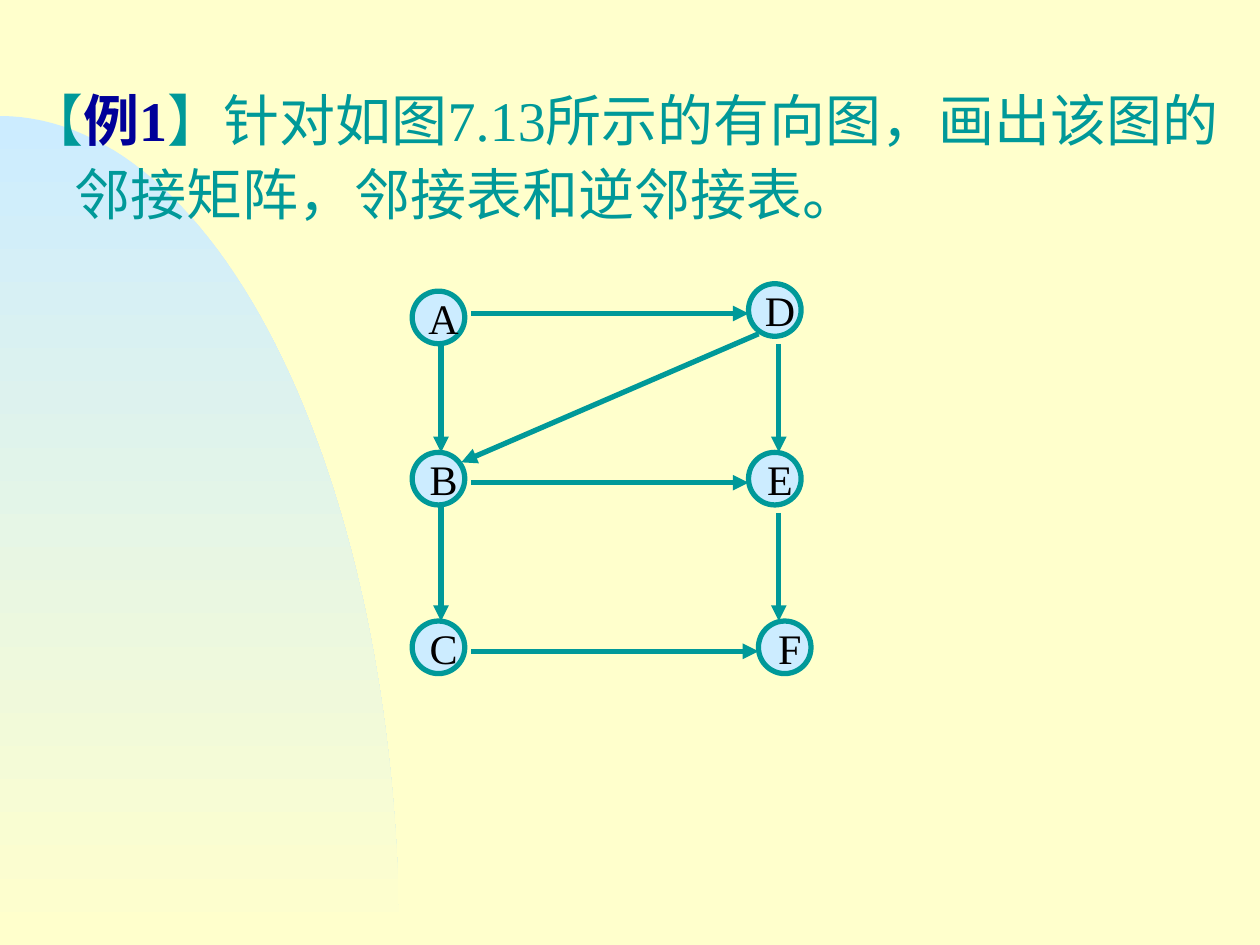
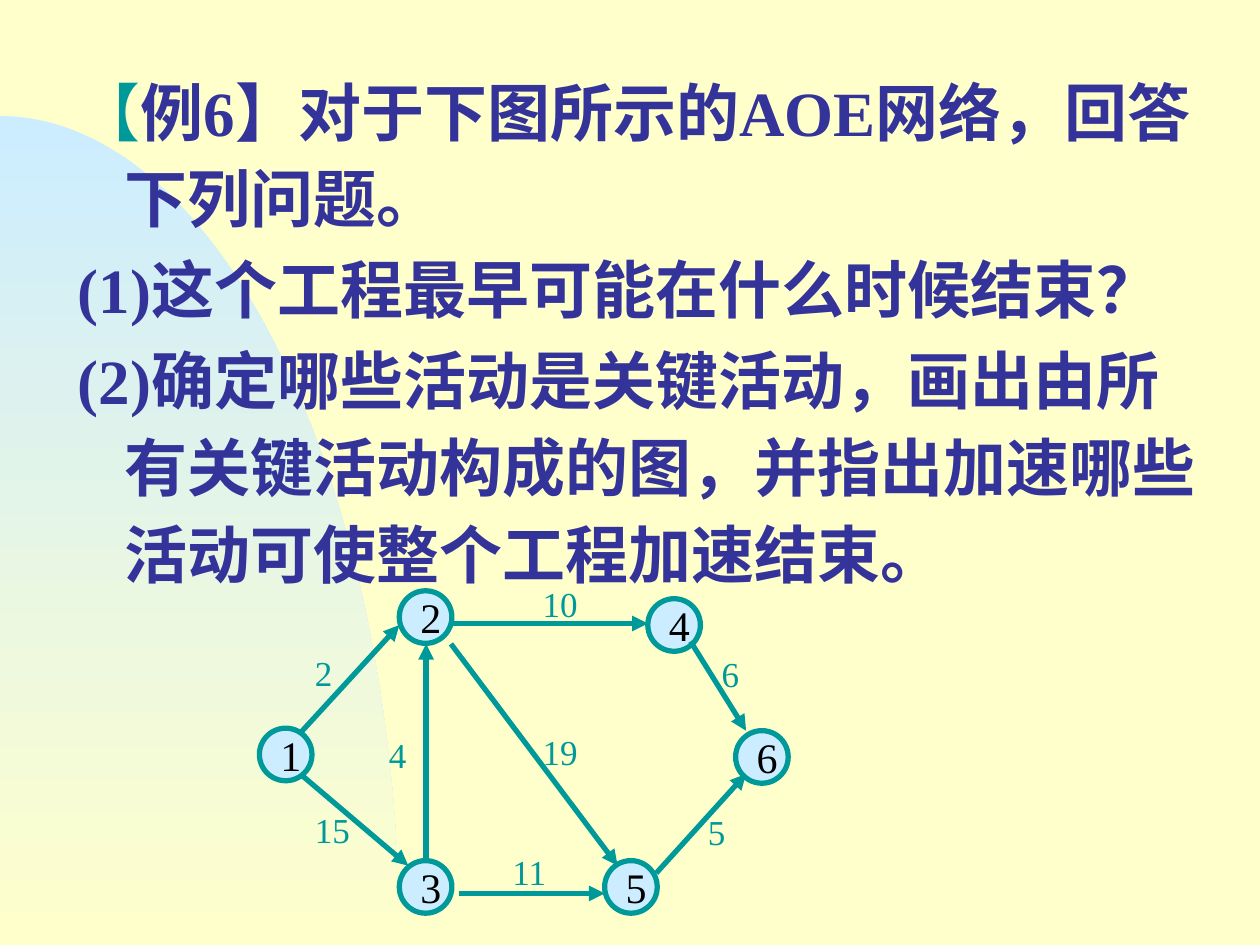
from math import cos, pi, sin

from lxml.etree import SubElement
from pptx import Presentation
from pptx.dml.color import RGBColor
from pptx.enum.lang import MSO_LANGUAGE_ID as Language
from pptx.enum.shapes import MSO_CONNECTOR as Connector, MSO_SHAPE as Preset
from pptx.enum.text import MSO_ANCHOR as Anchor, PP_ALIGN as Align
from pptx.oxml.ns import qn
from pptx.util import Cm, Pt

CREAM, SKY, TEAL = "FFFFCC", "CCECFF", "009999"
NAVY, INDIGO, INK = "000099", "333399", "010000"
SERIF, SANS = "Times New Roman", "Arial"
WIDTH, HEIGHT = 25.4, 19.05
NODE_SIZE = 1.06


def color(value):
    """Return the colour for a hex string."""
    return RGBColor.from_string(value)


class GraphDeck:
    """Hold the shared style and the current slide."""

    def __init__(self):
        """Start the deck with its size and background."""
        self.deck = Presentation()
        self.deck.slide_width, self.deck.slide_height = Cm(WIDTH), Cm(HEIGHT)
        fill = self.deck.slide_master.background.fill
        fill.solid()
        fill.fore_color.rgb = color(CREAM)
        self.page = None

    def add_page(self):
        """Add a blank slide with the shaded quarter ellipse."""
        self.page = self.deck.slides.add_slide(self.deck.slide_layouts[6])
        radius_x, radius_y, steps = 8.05, 16.71, 60
        angles = [pi / 2 * step / steps for step in range(steps + 1)]
        outline = [(Cm(radius_x * sin(angle)), Cm(HEIGHT - radius_y * cos(angle)))
                   for angle in angles]
        builder = self.page.shapes.build_freeform(*outline[0], scale=1.0)
        builder.add_line_segments(outline[1:] + [(0, Cm(HEIGHT))], close=True)
        curve = builder.convert_to_shape()
        curve.shadow.inherit = False
        curve.line.fill.background()
        curve.fill.gradient()
        curve.fill.gradient_angle = 270
        for stop, shade in zip(curve.fill.gradient_stops, (SKY, CREAM)):
            stop.color.rgb = color(shade)

    def style(self, span, size, shade, bold=False, font=SERIF):
        """Format one run."""
        span.font.name, span.font.size, span.font.bold = font, Pt(size), bold
        span.font.color.rgb = color(shade)
        span.font.language_id = Language.SIMPLIFIED_CHINESE

    def text_box(self, left, top, width, height):
        """Add a wrapping text box and return its frame."""
        box = self.page.shapes.add_textbox(Cm(left), Cm(top), Cm(width), Cm(height))
        box.text_frame.word_wrap = True
        return box.text_frame

    def question(self, place, size, spacing, before, paragraphs):
        """Add the question text with hanging indents."""
        frame = self.text_box(*place)
        for number, spans in enumerate(paragraphs):
            para = frame.add_paragraph() if number else frame.paragraphs[0]
            para.line_spacing, para.space_before = spacing, Pt(before)
            properties = para._p.get_or_add_pPr()
            properties.set("marL", str(Cm(0.95)))
            properties.set("indent", str(-Cm(0.95)))
            for text, *look in spans:
                span = para.add_run()
                span.text = text
                self.style(span, size, *look)

    def node(self, name, left, top):
        """Add a labelled graph node."""
        circle = self.page.shapes.add_shape(
            Preset.OVAL, Cm(left), Cm(top), Cm(NODE_SIZE), Cm(NODE_SIZE))
        circle.shadow.inherit = False
        circle.fill.solid()
        circle.fill.fore_color.rgb = color(SKY)
        circle.line.color.rgb = color(TEAL)
        circle.line.width = Pt(3)
        frame = circle.text_frame
        frame.text = name
        frame.word_wrap, frame.vertical_anchor = False, Anchor.MIDDLE
        frame.margin_top = frame.margin_right = frame.margin_bottom = 0
        frame.margin_left = Cm(0.21)
        para = frame.paragraphs[0]
        para.alignment = Align.CENTER
        self.style(para.runs[0], 24, INK)

    def arrow(self, *ends):
        """Add an arrow given as start x, y and end x, y."""
        line = self.page.shapes.add_connector(Connector.STRAIGHT, *map(Cm, ends))
        line.line.color.rgb = color(TEAL)
        line.line.width = Pt(3)
        SubElement(line.line._get_or_add_ln(), qn("a:tailEnd"), type="triangle")
        SubElement(line._element.spPr, qn("a:effectLst"))

    def weight(self, text, left, top):
        """Add the weight beside an edge."""
        frame = self.text_box(left, top, 1.3, 1.12)
        frame.text = text
        self.style(frame.paragraphs[0].runs[0], 20, TEAL)

    def graph(self, nodes, arrows, weights=()):
        """Draw the nodes, the arrows and the weights of a graph."""
        for draw, items in ((self.node, nodes), (self.arrow, arrows), (self.weight, weights)):
            for item in items:
                draw(*item)


def add_directed_graph(deck):
    """Build the slide on adjacency matrices and lists."""
    deck.add_page()
    deck.question((0.3, 1.47, 25.1, 3.25), 32, 1.1, 0, [[
        ("【", TEAL, False, SANS),
        ("例1", NAVY, True),
        ("】针对如图7.13所示的有向图，画出该图的邻接矩阵，邻接表和逆邻接表。", TEAL),
    ]])
    left, right, right_low = 8.31, 15.09, 15.29
    middle, bottom = 9.12, 12.52
    nodes = [("A", left, 5.87), ("B", left, middle), ("C", left, bottom),
             ("D", right, 5.72), ("E", right, middle), ("F", right_low, bottom)]
    across = [(9.5, y, end, y)
              for y, end in ((6.32, right), (9.73, right), (13.13, right_low))]
    down = [(x, start, x, end) for x, start, end in (
        (8.89, 6.93, middle), (8.89, 10.13, bottom),
        (15.7, 6.93, middle), (15.7, 10.34, bottom))]
    deck.graph(nodes, across + down + [(15.29, 6.73, 9.3, 9.32)])


def add_activity_network(deck):
    """Build the slide on the AOE network."""
    deck.add_page()
    deck.question((1.32, 1.12, 23.57, 11.43), 36, 1.15, 2.2, [
        [("【", TEAL), ("例6】对于下图所示的AOE网络，回答下列问题。", INDIGO, True)],
        [("(1)这个工程最早可能在什么时候结束？", INDIGO, True)],
        [("(2)确定哪些活动是关键活动，画出由所有关键活动构成的图，"
          "并指出加速哪些活动可使整个工程加速结束。", INDIGO, True)],
    ])
    nodes = [("1", 5.23, 14.68), ("2", 8.05, 11.91), ("3", 8.05, 17.35),
             ("4", 13.06, 12.07), ("5", 12.19, 17.35), ("6", 14.83, 14.73)]
    arrows = [(6.05, 14.78, 8.05, 12.6), (6.05, 15.6, 8.23, 17.45),
              (8.59, 17.35, 8.59, 12.98), (9.09, 12.57, 13.06, 12.57),
              (9.09, 12.98, 12.45, 17.45), (9.25, 18.01, 12.19, 18.01),
              (13.92, 12.93, 15.04, 14.73), (13.23, 17.6, 15.04, 15.6)]
    weights = [("2", 6.1, 13), ("15", 6.1, 16.18), ("4", 7.59, 14.66),
               ("10", 10.69, 11.61), ("19", 10.69, 14.61), ("11", 10.08, 17.02),
               ("6", 14.3, 13.03), ("5", 14.02, 16.21)]
    deck.graph(nodes, arrows, weights)


def main():
    """Build and save the deck."""
    deck = GraphDeck()
    add_directed_graph(deck)
    add_activity_network(deck)
    deck.deck.save("out.pptx")


if __name__ == "__main__":
    main()
